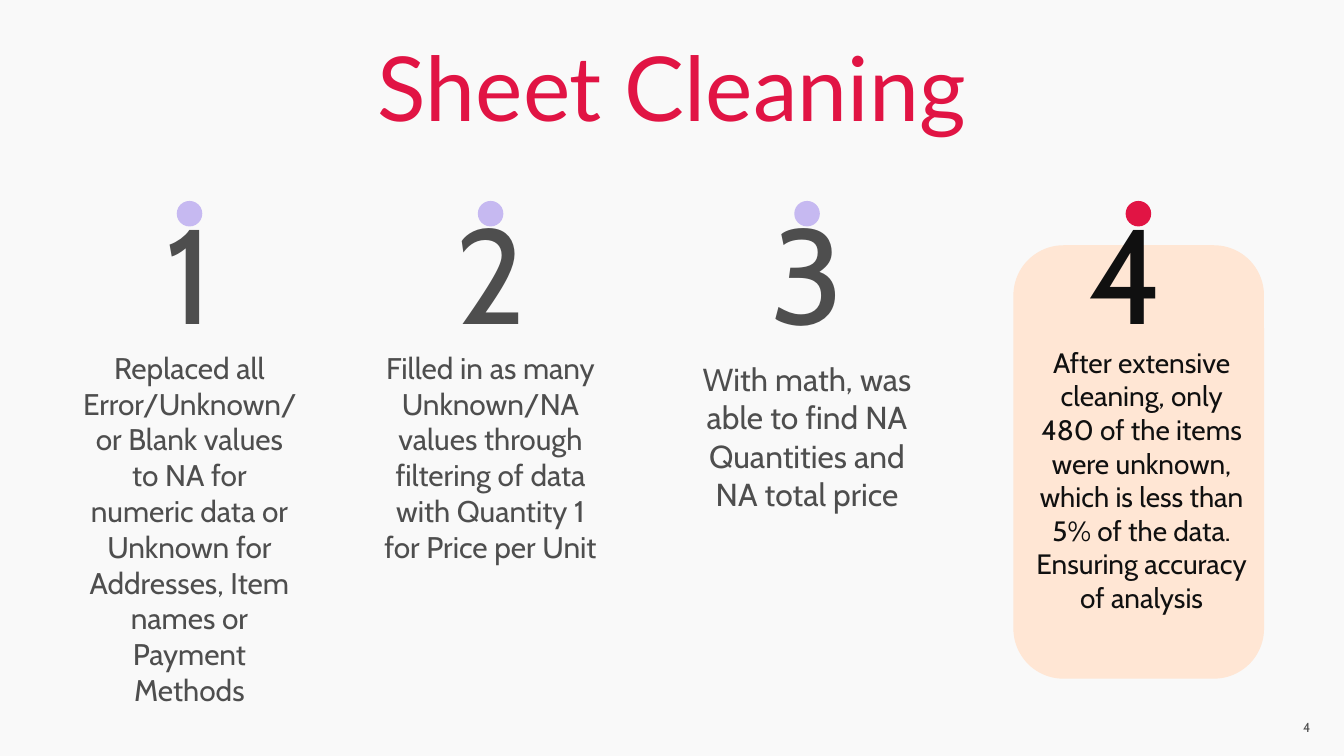
from dataclasses import dataclass

from pptx import Presentation
from pptx import util as u
from pptx.dml.color import RGBColor
from pptx.enum import shapes, text


@dataclass(frozen=True)
class Theme:
    paper: str = "F9F9F9"
    accent: str = "E11444"
    lilac: str = "C6B9F1"
    peach: str = "FFE6D4"
    gray: str = "4E4E4E"
    black: str = "101010"
    title_font: str = "Lato"
    body_font: str = "Cabin"
    title_size: int = 48
    number_size: int = 72
    page_size: int = 7


@dataclass(frozen=True)
class Step:
    """One numbered step; positions are in grid columns and rows."""
    center: float
    body_top: float
    body_size: int
    body: str
    dot_shift: float = 0
    body_shift: float = 0
    ink: str = Theme.gray
    dot: str = Theme.lilac


THEME = Theme()
CELL = u.Inches(0.1)  # the slide is a grid of 100 columns by 56.25 rows
COLUMNS, ROWS = 100, 56.25
NUMBER_WIDTH, NUMBER_TOP, NUMBER_HEIGHT = 14.1, 20.8, 4.9
BODY_WIDTH, BODY_HEIGHT = 16.3, 9.7
DOT_SIZE, DOT_TOP = 1.9, 14.95

STEPS = [
    Step(14.1, 26, 16, "Replaced all Error/Unknown/or Blank values to NA for numeric data "
         "or Unknown for Addresses, Item names or Payment Methods"),
    Step(36.5, 26, 16, "Filled in as many Unknown/NA values through filtering of data "
         "with Quantity 1 for Price per Unit"),
    Step(60.05, 26.8, 17, "With math, was able to find NA Quantities and NA total price"),
    Step(83.8, 25.7, 15, "After extensive cleaning, only 480 of the items were unknown, "
         "which is less than 5% of the data. Ensuring accuracy of analysis",
         dot_shift=0.9, body_shift=1.15, ink=THEME.black, dot=THEME.accent),
]


def cells(*counts: float) -> list[int]:
    return [round(count * CELL) for count in counts]


def write(box, words: str, *, size: int, color: str, font: str = THEME.body_font,
          align=text.PP_ALIGN.CENTER, anchor=text.MSO_ANCHOR.TOP,
          spacing: float = 1.0, insets=(0, 0, 0, 0)) -> None:
    frame = box.text_frame
    frame.word_wrap = True
    frame.auto_size = text.MSO_AUTO_SIZE.NONE
    frame.vertical_anchor = anchor
    (frame.margin_left, frame.margin_top,
     frame.margin_right, frame.margin_bottom) = cells(*insets)
    para = frame.paragraphs[0]
    para.alignment = align
    para.line_spacing = spacing
    para.space_before = u.Pt(0)
    span = para.add_run()
    span.text = words
    span.font.size = u.Pt(size)
    span.font.name = font
    span.font.color.rgb = RGBColor.from_string(color)


def add_text(page, place: tuple, words: str, **style) -> None:
    write(page.shapes.add_textbox(*cells(*place)), words, **style)


def add_plain_shape(page, kind, place: tuple, fill: str):
    shape = page.shapes.add_shape(kind, *cells(*place))
    shape.shadow.inherit = False
    shape.fill.solid()
    shape.fill.fore_color.rgb = RGBColor.from_string(fill)
    shape.line.fill.background()
    return shape


def add_step(page, number: int, step: Step) -> None:
    dot_left = step.center + step.dot_shift - DOT_SIZE / 2
    add_plain_shape(page, shapes.MSO_SHAPE.OVAL,
                    (dot_left, DOT_TOP, DOT_SIZE, DOT_SIZE), step.dot)
    add_text(page, (step.center - NUMBER_WIDTH / 2, NUMBER_TOP, NUMBER_WIDTH, NUMBER_HEIGHT),
             str(number), size=THEME.number_size, color=step.ink,
             anchor=text.MSO_ANCHOR.BOTTOM, spacing=0.65)
    body_left = step.center + step.body_shift - BODY_WIDTH / 2
    add_text(page, (body_left, step.body_top, BODY_WIDTH, BODY_HEIGHT),
             step.body, size=step.body_size, color=step.ink)


def main() -> None:
    deck = Presentation()
    deck.slide_width, deck.slide_height = cells(COLUMNS, ROWS)
    page = deck.slides.add_slide(deck.slide_layouts[5])
    page.background.fill.solid()
    page.background.fill.fore_color.rgb = RGBColor.from_string(THEME.paper)

    # Title
    title = page.shapes.title
    title.left, title.top, title.width, title.height = cells(2.45, 4.55, 95.1, 12.3)
    write(title, "Sheet Cleaning", size=THEME.title_size, color=THEME.accent,
          font=THEME.title_font, spacing=0.7, insets=(1, 0, 1, 1))

    # Card behind the last step
    card = add_plain_shape(page, shapes.MSO_SHAPE.ROUNDED_RECTANGLE,
                           (75.4, 18.25, 18.65, 32.25), THEME.peach)
    card.adjustments[0] = 0.2

    # Numbered steps
    for number, step in enumerate(STEPS, start=1):
        add_step(page, number, step)

    # Page number
    add_text(page, (90, 52.5, 7.5, 2.3), "4", size=THEME.page_size, color=THEME.gray,
             align=text.PP_ALIGN.RIGHT, insets=(0, 1, 0, 1))

    deck.save("out.pptx")


if __name__ == "__main__":
    main()
